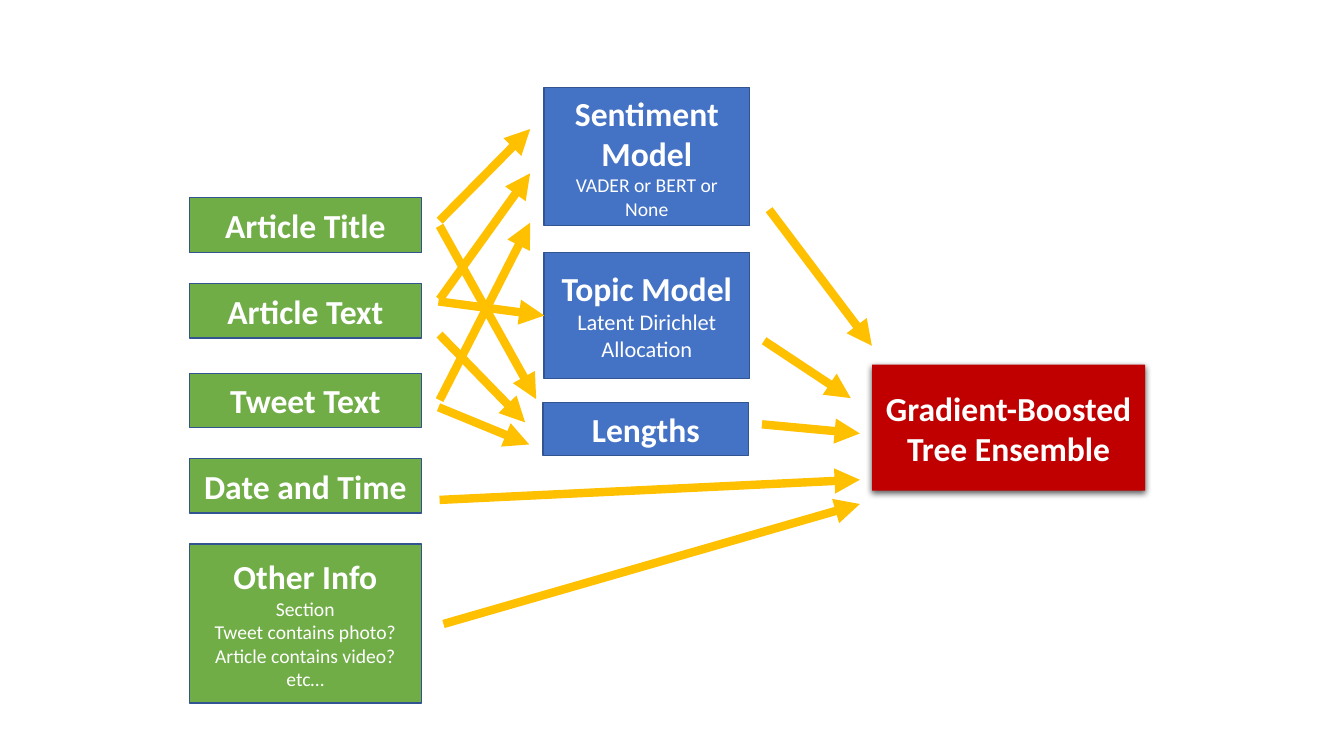
from lxml import etree
from pptx import Presentation
from pptx.dml.color import RGBColor
from pptx.enum import shapes, text
from pptx.oxml import ns
from pptx.util import Pt

WHITE = RGBColor(0xFF, 0xFF, 0xFF)
GREEN = RGBColor(0x70, 0xAD, 0x47)
BLUE = RGBColor(0x44, 0x72, 0xC4)
RED = RGBColor(0xC0, 0x00, 0x00)
OUTLINE = RGBColor(0x32, 0x54, 0x91)
AMBER = RGBColor(0xFF, 0xC0, 0x00)

presentation = Presentation()
presentation.slide_width, presentation.slide_height = Pt(960), Pt(540)
slide = presentation.slides.add_slide(presentation.slide_layouts[6])


def add_box(left, top, width, height, fill, heading, details=(), detail_size=14):
    """Add a filled box with a bold heading and smaller detail lines."""
    shape = slide.shapes.add_shape(
        shapes.MSO_SHAPE.RECTANGLE, Pt(left), Pt(top), Pt(width), Pt(height))
    shape.shadow.inherit = False
    shape.fill.solid()
    shape.fill.fore_color.rgb = fill
    shape.line.color.rgb = OUTLINE
    shape.line.width = Pt(1)
    frame = shape.text_frame
    frame.word_wrap = True
    frame.vertical_anchor = text.MSO_ANCHOR.MIDDLE
    for index, line in enumerate([heading, *details]):
        paragraph = frame.paragraphs[0] if index == 0 else frame.add_paragraph()
        paragraph.text = line
        paragraph.alignment = text.PP_ALIGN.CENTER
        paragraph.font.name = "Calibri"
        paragraph.font.size = Pt(detail_size if index else 24)
        paragraph.font.bold = index == 0
        paragraph.font.color.rgb = WHITE
    return shape


def add_arrow(start, end):
    """Add a thick amber arrow from start to end, both in points."""
    arrow = slide.shapes.add_connector(
        shapes.MSO_CONNECTOR.STRAIGHT, *(Pt(value) for value in (*start, *end)))
    arrow.line.color.rgb = AMBER
    arrow.line.width = Pt(6)
    etree.SubElement(arrow.line._get_or_add_ln(), ns.qn("a:tailEnd"), type="triangle")
    etree.SubElement(arrow._element.spPr, ns.qn("a:effectLst"))


# Inputs
other_details = ("Section", "Tweet contains photo?", "Article contains video? etc…")
for top, height, heading, details in (
    (141.2, 39, "Article Title", ()),
    (202.4, 39, "Article Text", ()),
    (266.6, 39, "Tweet Text", ()),
    (327.6, 39, "Date and Time", ()),
    (388.6, 113.6, "Other Info", other_details),
):
    add_box(135.2, top, 165.8, height, GREEN, heading, details)

# Feature models
for left, top, height, heading, details, detail_size in (
    (388.6, 62.5, 98.5, "Sentiment Model", ("VADER or BERT or None",), 14),
    (388.6, 180.2, 90, "Topic Model", ("Latent Dirichlet Allocation",), 16),
    (387.9, 287.4, 37.8, "Lengths", (), 14),
):
    add_box(left, top, 146.8, height, BLUE, heading, details, detail_size)

# Final model, raised by a soft shadow
ensemble = add_box(622.9, 260.5, 195.1, 90, RED, "Gradient-Boosted Tree Ensemble")
ensemble.line.fill.background()
effects = ensemble._element.spPr.find(ns.qn("a:effectLst"))
shadow = etree.SubElement(
    effects, ns.qn("a:outerShdw"), blurRad=str(Pt(4.5)), dist=str(Pt(1.5)),
    dir="5400000", algn="ctr", rotWithShape="0")
shadow_color = etree.SubElement(shadow, ns.qn("a:srgbClr"), val="000000")
etree.SubElement(shadow_color, ns.qn("a:alpha"), val="63000")

for start, end in (
    # Inputs to feature models
    ((314, 157.7), (378.7, 92.2)),
    ((314, 213.8), (378.7, 123.8)),
    ((314, 285.8), (378.7, 159.1)),
    ((313.2, 215.3), (388.8, 225.4)),
    ((314, 239), (375.1, 301.7)),
    ((313.2, 290.9), (378, 317.5)),
    ((314, 161.3), (383, 285.1)),
    # Inputs straight to the ensemble
    ((314, 357.1), (614.2, 342.7)),
    ((316.8, 445.7), (614.2, 360)),
    # Feature models to the ensemble
    ((549.4, 149.8), (622.8, 247)),
    ((545.8, 243.4), (607.7, 284.4)),
    ((544.3, 303.1), (614.2, 309.6)),
):
    add_arrow(start, end)

presentation.save("out.pptx")
